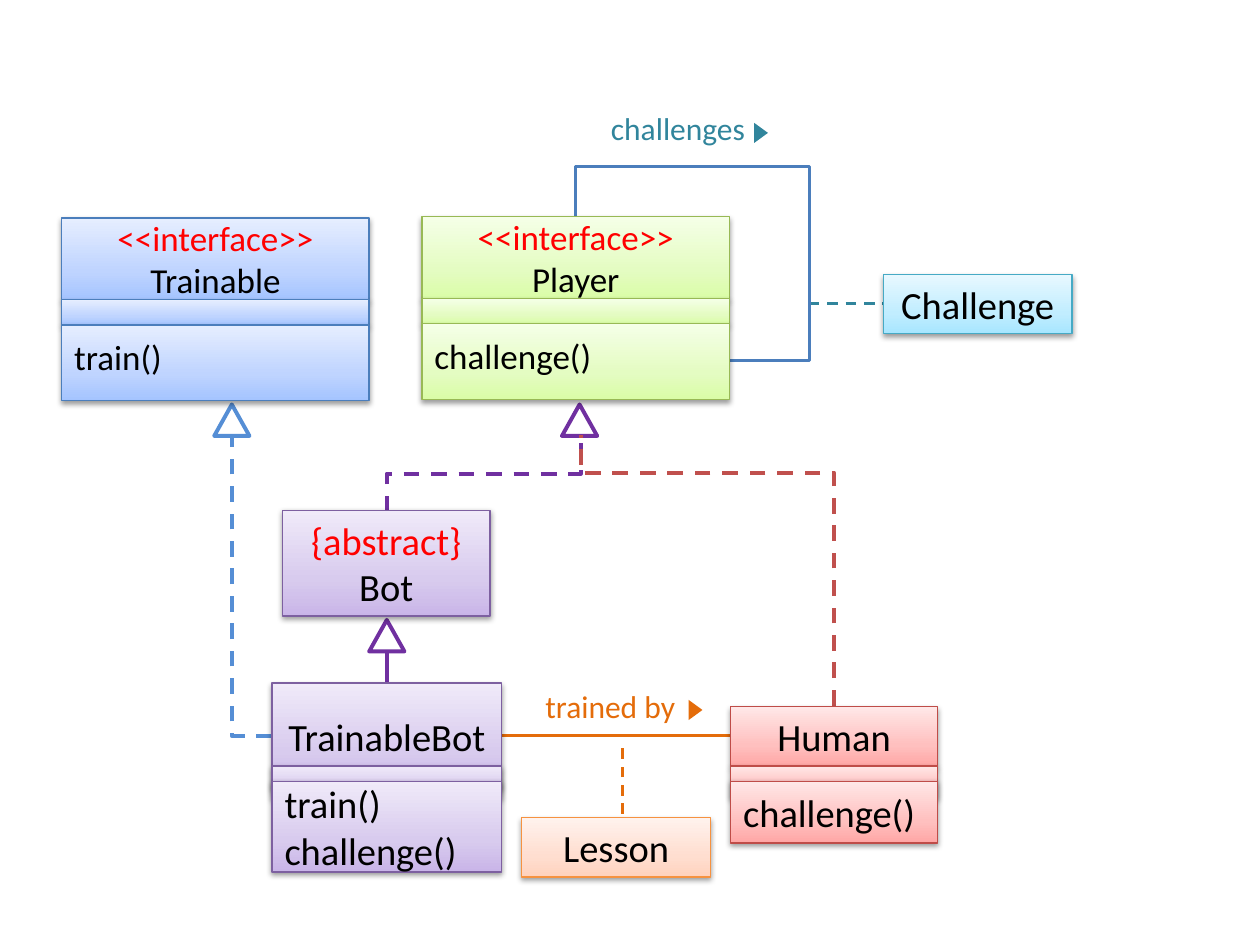
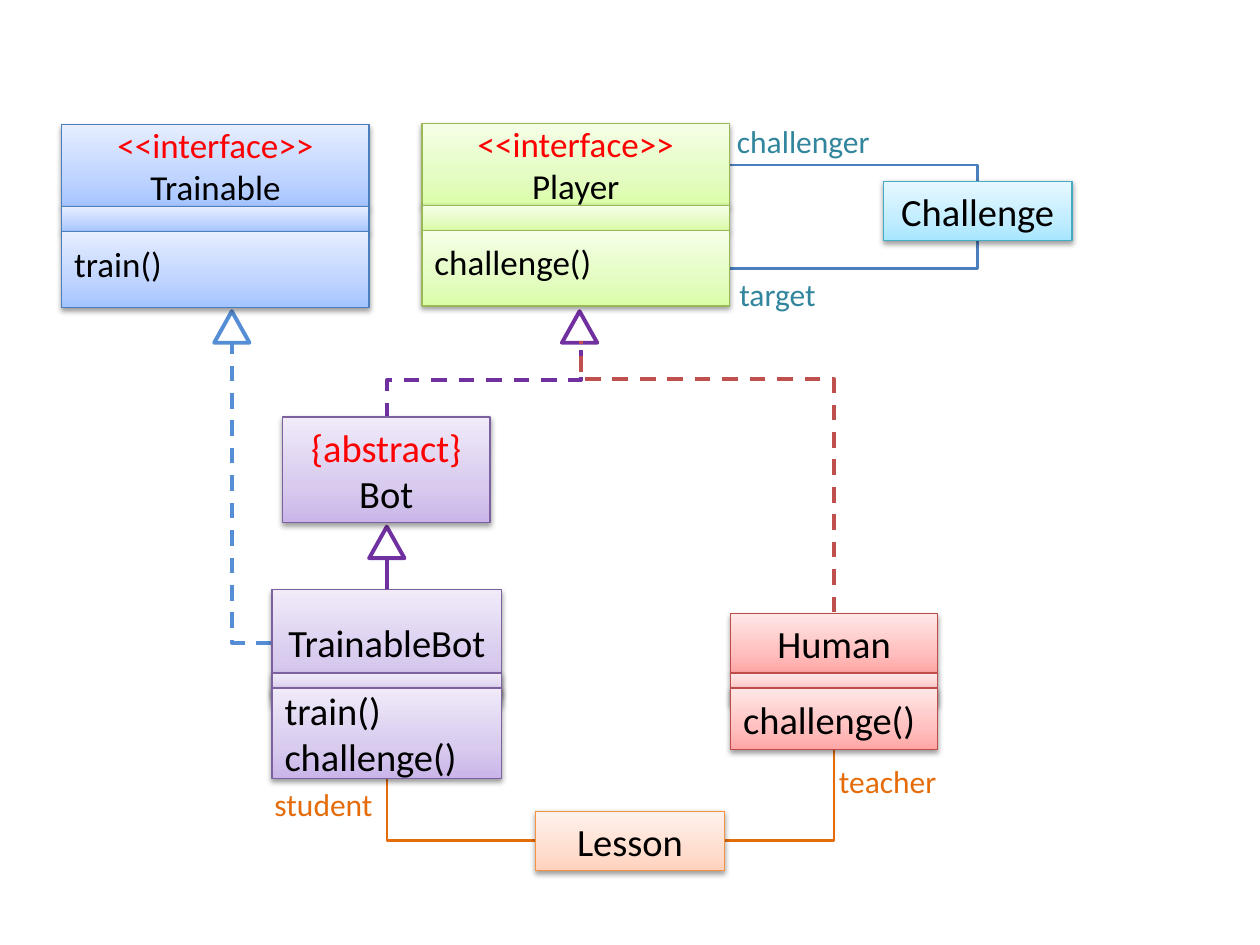
"""Build two class diagrams of a game: association classes, then plain classes."""
from copy import deepcopy

from lxml import etree
from pptx import Presentation
from pptx.dml.color import RGBColor
from pptx.enum.dml import MSO_LINE
from pptx.enum.shapes import MSO_CONNECTOR, MSO_SHAPE
from pptx.enum.text import MSO_ANCHOR, PP_ALIGN
from pptx.oxml.ns import qn
from pptx.util import Inches, Pt

RECTANGLE, TRIANGLE = MSO_SHAPE.RECTANGLE, MSO_SHAPE.ISOSCELES_TRIANGLE
EXTRACT = MSO_SHAPE.FLOWCHART_EXTRACT
STRAIGHT, ELBOW = MSO_CONNECTOR.STRAIGHT, MSO_CONNECTOR.ELBOW
LEFT, CENTER, MIDDLE = PP_ALIGN.LEFT, PP_ALIGN.CENTER, MSO_ANCHOR.MIDDLE
DASH = MSO_LINE.DASH

FONT = "Calibri"
BLACK, WHITE, RED = "000000", "FFFFFF", "FF0000"
BLUE, SKY, TEAL = "4B7EBC", "558ED5", "31859C"
VIOLET, BRICK, ORANGE = "7030A0", "C0504D", "E46C0A"
STOP_POSITIONS = (0, 0.35, 1)
PALETTES = {
    "violet": ("7D60A0", ("C9B5E8", "D8CBEE", "F0EAF9")),
    "red": ("BF4C48", ("FFA6A5", "FFC0BF", "FFE7E7")),
    "orange": ("F69240", ("FFD2BD", "FFDED0", "FFF2ED")),
    "green": ("98B955", ("DAFDA7", "E4FCC2", "F5FFE7")),
    "blue": ("4B7EBC", ("A4C4FF", "BFD4FF", "E6EEFF")),
    "cyan": ("46AAC5", ("A7E6FF", "C1EDFF", "E7F8FF")),
}

INTERFACE = dict(size=20, method_spacing=0.6)
CLASSES = [
    dict(palette="violet", left=2.24, width=1.65, parts=[(4.05, 0.84)],
         title=["{abstract}", "Bot"]),
    dict(palette="red", left=5.8, width=1.64,
         parts=[(5.61, 0.47), (6.08, 0.25), (6.2, 0.49)],
         title=["Human"], methods=["challenge()"]),
    dict(palette="green", left=3.35, width=2.44,
         parts=[(1.72, 0.65), (2.37, 0.2), (2.57, 0.6)],
         title=["<<interface>>", "Player"], methods=["challenge()"], **INTERFACE),
    dict(palette="blue", left=0.49, width=2.44,
         parts=[(1.73, 0.65), (2.38, 0.2), (2.58, 0.6)],
         title=["<<interface>>", "Trainable"], methods=["train()"], **INTERFACE),
    dict(palette="violet", left=2.16, width=1.82,
         parts=[(5.42, 0.84), (6.08, 0.25), (6.2, 0.72)],
         title=["TrainableBot"], methods=["train()", "challenge()"]),
    dict(palette="cyan", left=7.01, width=1.5, parts=[(2.18, 0.47)],
         title=["Challenge"]),
]
INHERITANCE_HEADS = [(4.46, 3.21, VIOLET), (2.93, 4.92, VIOLET), (1.7, 3.21, SKY)]
INHERITANCE_LINES = [((3.07, 5.42), (3.07, 5.17), dict(color=VIOLET, width=2.25))]
REALIZATIONS = [
    ((3.54, 2.99, 0.6, 1.54), dict(color=VIOLET, rotation=90, flips="HV", bends=[0.5])),
    ((4.54, 3.52, 2.15, 2.01), dict(color=BRICK, rotation=270, flips="V", bends=[0.86])),
    ((1.84, 3.46, 0.32, 2.38), dict(color=SKY, rotation=180)),
]

DIAGRAMS = [
    dict(
        shift=0, lesson=(4.14, 6.49),
        lines=[
            ((3.98, 5.84), (5.8, 5.84), dict(color=ORANGE)),
            ((4.94, 6.46), (4.94, 5.91), dict(color=ORANGE, dash=DASH)),
            ((6.42, 2.41), (7.01, 2.41), dict(color=TEAL, dash=DASH)),
        ],
        elbows=[((4.57, 1.72, 1.22, 1.14),
                 dict(color=BLUE, flips="HV", bends=[-0.52, 1.35]))],
        labels=[("trained by", 4.23, 5.4, 1.29, ORANGE),
                ("challenges", 4.75, 0.82, 1.29, TEAL)],
        markers=[(5.44, 5.58, ORANGE), (5.96, 1, TEAL)],
    ),
    dict(
        shift=-0.74, lesson=(4.25, 6.44),
        lines=[],
        elbows=[
            ((3.07, 6.18, 1.18, 0.49), dict(color=ORANGE, rotation=180)),
            ((5.75, 5.95, 0.87, 0.72), dict(color=ORANGE, flips="V")),
            ((5.79, 1.91, 1.97, 0.22), dict(color=BLUE, flips="V")),
            ((5.79, 1.31, 1.97, 0.13), dict(color=BLUE)),
        ],
        labels=[("challenger", 5.75, 0.92, 1.29, TEAL), ("target", 5.77, 2.13, 0.87, TEAL),
                ("teacher", 6.56, 6, 1.02, ORANGE), ("student", 2.08, 6.18, 1.02, ORANGE)],
        markers=[],
    ),
]


def rgb(value):
    """Turn a hex string into a colour."""
    return RGBColor.from_string(value)


def write(shape, lines, size, color=BLACK, align=LEFT, spacing=None):
    """Write one paragraph a line, with stereotypes and constraints in red."""
    frame = shape.text_frame
    frame.word_wrap = True
    for index, line in enumerate(lines):
        paragraph = frame.paragraphs[0] if index == 0 else frame.add_paragraph()
        paragraph.alignment = align
        paragraph.line_spacing = spacing
        run = paragraph.add_run()
        run.text = line
        run.font.name, run.font.size = FONT, Pt(size)
        run.font.color.rgb = rgb(RED if line[0] in "<{" else color)


def add_shape(slide, kind, left, top, width, height, fill=None, line=None, weight=0.75):
    """Add a preset shape without shadow."""
    shape = slide.shapes.add_shape(kind, *map(Inches, (left, top, width, height)))
    shape.shadow.inherit = False
    if fill:
        shape.fill.solid()
        shape.fill.fore_color.rgb = rgb(fill)
    if line:
        shape.line.color.rgb = rgb(line)
        shape.line.width = Pt(weight)
    else:
        shape.line.fill.background()
    return shape


def add_box(slide, palette, *place):
    """Add a gradient rectangle with a soft shadow."""
    line, colors = PALETTES[palette]
    shape = add_shape(slide, RECTANGLE, *place, line=line)
    shape.fill.gradient()
    shape.fill.gradient_angle = 90
    properties = shape.element.spPr
    stops = properties.find(".//" + qn("a:gsLst"))
    stops.append(deepcopy(stops[-1]))
    for stop, position, color in zip(shape.fill.gradient_stops, STOP_POSITIONS, colors):
        stop.position = position
        stop.color.rgb = rgb(color)
    shadow = etree.SubElement(properties.find(qn("a:effectLst")), qn("a:outerShdw"),
                              blurRad="40000", dist="20000", dir="5400000", rotWithShape="0")
    shadow_color = etree.SubElement(shadow, qn("a:srgbClr"), val=BLACK)
    etree.SubElement(shadow_color, qn("a:alpha"), val="38000")
    shape.text_frame.vertical_anchor = MIDDLE
    return shape


def add_class(slide, shift, palette, left, width, parts, title, methods=(), size=22,
              method_spacing=None):
    """Add a class: its title, and attribute and method compartments if any."""
    boxes = [add_box(slide, palette, left, top + shift, width, height)
             for top, height in parts]
    write(boxes[0], title, size, align=CENTER)
    if methods:
        write(boxes[-1], methods, size, spacing=method_spacing)


def add_line(slide, start, end, color, width=1.5, dash=None, kind=STRAIGHT, shift=0):
    """Add a connector without shadow."""
    (x1, y1), (x2, y2) = start, end
    connector = slide.shapes.add_connector(
        kind, *map(Inches, (x1, y1 + shift, x2, y2 + shift)))
    connector.line.color.rgb = rgb(color)
    connector.line.width = Pt(width)
    connector.line.dash_style = dash
    etree.SubElement(connector.element.spPr, qn("a:effectLst"))
    return connector


def add_elbow(slide, place, rotation=0, flips="", bends=(), **style):
    """Add an elbow connector with one corner, plus one more for each bend."""
    left, top, width, height = place
    connector = add_line(slide, (left, top), (left + width, top + height),
                         kind=ELBOW, **style)
    properties = connector.element.spPr
    frame = properties.find(qn("a:xfrm"))
    frame.set("rot", str(rotation * 60000))
    for axis in flips:
        frame.set("flip" + axis, "1")
    geometry = properties.find(qn("a:prstGeom"))
    geometry.set("prst", f"bentConnector{len(bends) + 2}")
    adjustments = geometry.find(qn("a:avLst"))
    for number, bend in enumerate(bends, 1):
        etree.SubElement(adjustments, qn("a:gd"), name=f"adj{number}",
                         fmla=f"val {round(bend * 100000)}")


def add_diagram(slide, shift, lesson, lines, elbows, labels, markers):
    """Draw the shared classes, moved by shift, and the slide's associations."""
    for left, top, color in INHERITANCE_HEADS:
        add_shape(slide, EXTRACT, left, top + shift, 0.28, 0.25, WHITE, color, 2.25)
    for start, end, style in INHERITANCE_LINES:
        add_line(slide, start, end, shift=shift, **style)
    for place, style in REALIZATIONS:
        add_elbow(slide, place, shift=shift, width=2.25, dash=DASH, **style)
    for start, end, style in lines:
        add_line(slide, start, end, **style)
    for place, style in elbows:
        add_elbow(slide, place, **style)
    for details in CLASSES:
        add_class(slide, shift, **details)
    left, top = lesson
    add_class(slide, 0, "orange", left, 1.5, [(top, 0.47)], ["Lesson"])
    for text, left, top, width, color in labels:
        box = slide.shapes.add_textbox(*map(Inches, (left, top, width, 0.4)))
        write(box, [text], 18, color)
    for left, top, color in markers:
        add_shape(slide, TRIANGLE, left, top, 0.16, 0.11, color).rotation = 90


def main():
    """Build and save the presentation."""
    presentation = Presentation()
    presentation.slide_width, presentation.slide_height = Inches(10), Inches(7.5)
    blank_layout = presentation.slide_layouts[6]
    for diagram in DIAGRAMS:
        add_diagram(presentation.slides.add_slide(blank_layout), **diagram)
    presentation.save("out.pptx")


if __name__ == "__main__":
    main()
